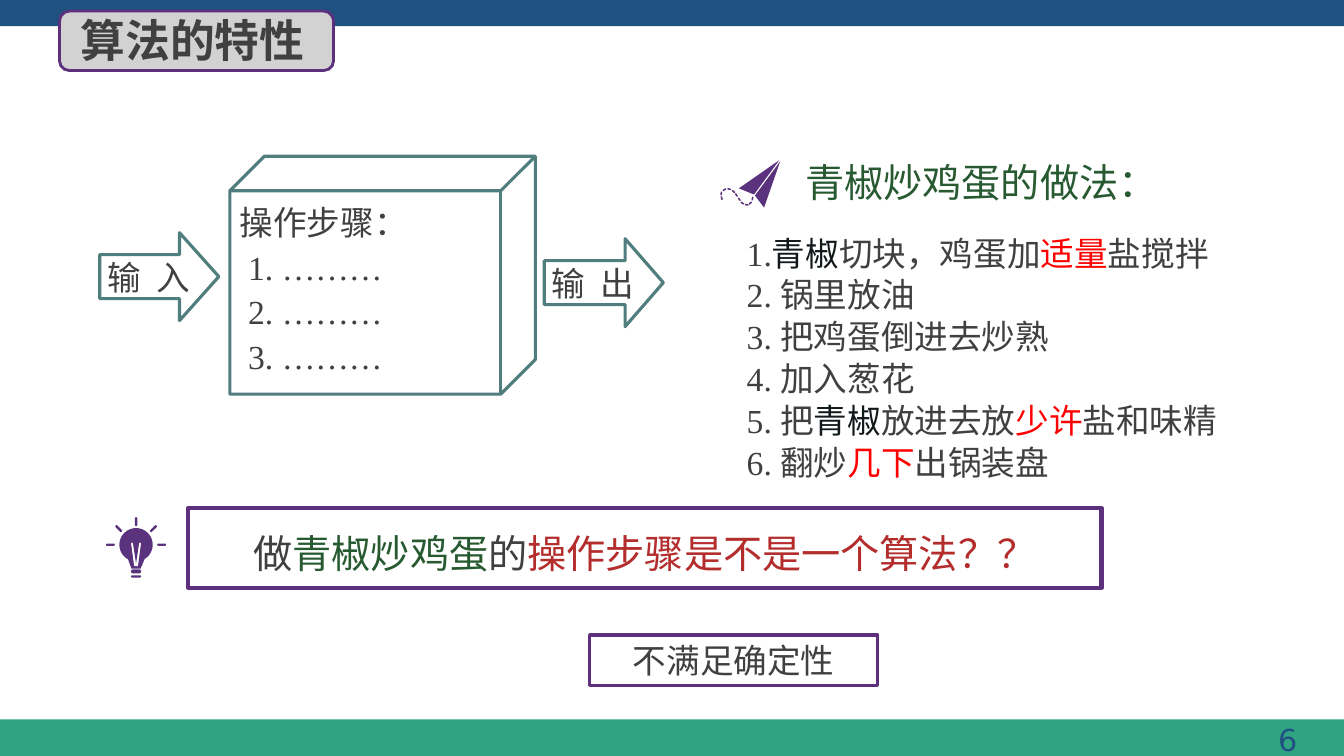
import math
from dataclasses import dataclass

from lxml import etree
from pptx import Presentation
from pptx import util as u
from pptx.dml.color import RGBColor
from pptx.enum import shapes, text
from pptx.oxml.ns import qn

COLORS = {
    "navy": "1F5281", "teal": "30A383", "slate": "507D7D", "violet": "5C307D",
    "icon": "5A327D", "grey": "D2D2D2", "ink": "404040", "black": "12191A",
    "green": "285A32", "crimson": "B42D2D", "red": "FF0000",
}
SANS = "Noto Sans CJK SC"
SERIF = "Times New Roman"
SHAPE = shapes.MSO_SHAPE
ALIGN = text.PP_ALIGN
TOP = text.MSO_ANCHOR.TOP
MIDDLE = text.MSO_ANCHOR.MIDDLE


@dataclass(frozen=True)
class Box:
    left: float
    top: float
    width: float
    height: float


@dataclass(frozen=True)
class Run:
    text: str
    color: str = "ink"
    font: str = ""
    spacing: float = 0


@dataclass(frozen=True)
class Pill:
    x: float
    y: float
    length: float
    thickness: float
    angle: float = 0


@dataclass(frozen=True)
class FlowArrow:
    box: Box
    head: float
    verb: str


FLOW_ARROWS = [
    FlowArrow(Box(71.3, 166.2, 85, 62.8), 0.447, "入"),
    FlowArrow(Box(388.8, 170.5, 85, 62.8), 0.435, "出"),
]
STEPS = [[Run("操作步骤：")]] + [[Run(f"{number}. ………")] for number in range(1, 4)]
RECIPE = [
    [Run("1."), Run("青椒", "black", SANS), Run("切块，鸡蛋加"), Run("适量", "red"), Run("盐搅拌")],
    [Run("2. 锅里放油")],
    [Run("3. 把鸡蛋倒进去炒熟")],
    [Run("4. 加入葱花")],
    [Run("5. 把"), Run("青椒", "black", SANS), Run("放进去放"), Run("少许", "red"), Run("盐和味精")],
    [Run("6. 翻炒"), Run("几下", "red"), Run("出锅装盘")],
]
QUESTION = [[Run("做"), Run("青椒炒鸡蛋", "green"), Run("的"), Run("操作步骤是不是一个算法？？", "crimson")]]

BULB_X, BULB_Y, BULB_RADIUS = 97.2, 389.1, 11.9
BULB_PILLS = [
    Pill(BULB_X, 411.8, 7.2, 1.7),
    Pill(BULB_X, 408.2, 7.2, 2.9),
    Pill(BULB_X, 372.6, 6.3, 1.7, 90),
    *(Pill(BULB_X + side * 12.4, 377.6, 6.2, 1.7, -side * 45) for side in (-1, 1)),
    *(Pill(BULB_X + side * 18.3, BULB_Y, 6.3, 1.7) for side in (-1, 1)),
]
FILAMENT = [
    (95.8, 404.3), (93.6, 388), (94.2, 387.4), (95, 388), (97.2, 402.5), (99.4, 388),
    (100.2, 387.4), (100.8, 388), (98.6, 404.3), (97.9, 404.7), (97.2, 404), (96.5, 404.7),
]
TRAIL = [Pill(x, y, 2.7, 1.1, angle) for x, y, angle in [
    (537.5, 141.8, 100), (536, 145.1, -40), (533.4, 146.3, 8), (530.3, 145.1, 35),
    (528.1, 142.4, 52), (526, 139.3, 52), (524, 136.9, 42), (520.9, 135.1, 15),
    (517.5, 135.5, -35), (515.5, 141.5, 70), (515.2, 138.2, 100),
]]
WINGS = [
    [(557.3, 115.2), (545.8, 148.3), (539.3, 139.7)],
    [(556.6, 114.5), (538.6, 139), (527.8, 134.6)],
]


def rgb(name: str) -> RGBColor:
    return RGBColor.from_string(COLORS[name])


def style_shape(shape, fill: str = "", line: str = "", weight: float = 0) -> None:
    shape.shadow.inherit = False
    if fill:
        shape.fill.solid()
        shape.fill.fore_color.rgb = rgb(fill)
    else:
        shape.fill.background()
    if line:
        shape.line.color.rgb = rgb(line)
        shape.line.width = u.Pt(weight)
    else:
        shape.line.fill.background()


def add_shape(parent, kind, box: Box, adjustments=(), **style):
    shape = parent.shapes.add_shape(
        kind, u.Pt(box.left), u.Pt(box.top), u.Pt(box.width), u.Pt(box.height))
    for index, value in enumerate(adjustments):
        shape.adjustments[index] = value
    style_shape(shape, **style)
    return shape


def add_textbox(slide, box: Box):
    return slide.shapes.add_textbox(
        u.Pt(box.left), u.Pt(box.top), u.Pt(box.width), u.Pt(box.height))


def write_text(shape, paragraphs: list[list[Run]], *, size: float, font: str = SANS,
               bold: bool = False, align=ALIGN.LEFT, anchor=MIDDLE, wrap: bool = True,
               insets=(7.2, 0, 7.2, 0), line_spacing: float = 0, list_indent: float = 0) -> None:
    frame = shape.text_frame
    frame.word_wrap = wrap
    frame.auto_size = text.MSO_AUTO_SIZE.NONE
    frame.vertical_anchor = anchor
    frame.margin_left, frame.margin_top, frame.margin_right, frame.margin_bottom = map(u.Pt, insets)
    for index, runs in enumerate(paragraphs):
        paragraph = frame.add_paragraph() if index else frame.paragraphs[0]
        paragraph.alignment = align
        if line_spacing:
            paragraph.line_spacing = u.Pt(line_spacing)
        if index and list_indent:
            paragraph._p.get_or_add_pPr().set("marL", str(u.Pt(list_indent)))
        for item in runs:
            run = paragraph.add_run()
            run.text = item.text
            run.font.size = u.Pt(size)
            run.font.bold = bold
            run.font.color.rgb = rgb(item.color)
            run.font.name = item.font or font
            properties = run._r.get_or_add_rPr()
            etree.SubElement(properties, qn("a:ea")).set("typeface", SANS)
            if item.spacing:
                properties.set("spc", str(round(item.spacing * 100)))


def add_pill(group, pill: Pill) -> None:
    box = Box(pill.x - pill.length / 2, pill.y - pill.thickness / 2, pill.length, pill.thickness)
    add_shape(group, SHAPE.ROUNDED_RECTANGLE, box, (0.5,), fill="icon").rotation = pill.angle


def add_outline(group, *contours: list[tuple[float, float]]) -> None:
    points = [[(u.Pt(x), u.Pt(y)) for x, y in contour] for contour in contours]
    builder = group.shapes.build_freeform(*points[0][0])
    builder.add_line_segments(points[0][1:])
    for contour in points[1:]:
        builder.move_to(*contour[0])
        builder.add_line_segments(contour[1:])
    style_shape(builder.convert_to_shape(), fill="icon")


def add_bulb(slide) -> None:
    group = slide.shapes.add_group_shape()
    for pill in BULB_PILLS:
        add_pill(group, pill)
    angles = [math.radians(degrees) for degrees in range(119, 422, 6)]
    glass = [(BULB_X + BULB_RADIUS * math.cos(angle), BULB_Y + BULB_RADIUS * math.sin(angle))
             for angle in angles]
    add_outline(group, glass + [(100.5, 406.1), (93.9, 406.1)], FILAMENT)


def add_paper_plane(slide) -> None:
    group = slide.shapes.add_group_shape()
    for wing in WINGS:
        add_outline(group, wing)
    for dash in TRAIL:
        add_pill(group, dash)


def main() -> None:
    presentation = Presentation()
    presentation.slide_width, presentation.slide_height = u.Pt(960), u.Pt(540)
    slide = presentation.slides.add_slide(presentation.slide_layouts[6])

    add_shape(slide, SHAPE.RECTANGLE, Box(0, 513.8, 960, 26.2), fill="teal")
    add_shape(slide, SHAPE.RECTANGLE, Box(0, 0, 960, 18.7), fill="navy")
    write_text(add_textbox(slide, Box(722.2, 512, 211.7, 33)), [[Run("6", "navy")]],
               size=21.6, font="DejaVu Sans", align=ALIGN.RIGHT)

    for arrow in FLOW_ARROWS:
        shape = add_shape(slide, SHAPE.RIGHT_ARROW, arrow.box, (0.5, arrow.head),
                          line="slate", weight=2.25)
        write_text(shape, [[Run("输"), Run(" ", spacing=5.4), Run(arrow.verb)]],
                   size=24, wrap=False, insets=(5.4, 3.6, 7.2, 3.6))

    cube = add_shape(slide, SHAPE.CUBE, Box(164.2, 111.6, 218.2, 169.9), (0.145,),
                     line="slate", weight=2.25)
    write_text(cube, STEPS, size=24, font=SERIF, anchor=TOP, insets=(7.2, 5, 7.2, 3.6),
               line_spacing=31.8, list_indent=6)

    question = add_shape(slide, SHAPE.RECTANGLE, Box(134.6, 362.9, 652.3, 56.9),
                         line="violet", weight=3)
    write_text(question, QUESTION, size=28, align=ALIGN.CENTER, line_spacing=40)
    add_bulb(slide)

    write_text(add_textbox(slide, Box(526.3, 161.3, 375.1, 189.4)), RECIPE, size=24, font=SERIF,
               anchor=TOP, insets=(7.2, 3.6, 7.2, 3.6), line_spacing=30)
    add_paper_plane(slide)
    write_text(add_textbox(slide, Box(568.1, 109.4, 269.3, 41)),
               [[Run("青椒炒鸡蛋的做法：", "green")]], size=28)

    verdict = add_shape(slide, SHAPE.RECTANGLE, Box(421.2, 453.6, 205.9, 36),
                        line="violet", weight=2.25)
    write_text(verdict, [[Run("不满足确定性")]], size=24, font=SERIF, align=ALIGN.CENTER)

    add_shape(slide, SHAPE.ROUNDED_RECTANGLE, Box(42.5, 7.9, 195.8, 42.5),
              fill="grey", line="violet", weight=2)
    write_text(add_textbox(slide, Box(50.4, 5, 197.3, 46.1)), [[Run("算法的特性")]],
               size=32, bold=True)
    presentation.save("out.pptx")


if __name__ == "__main__":
    main()
